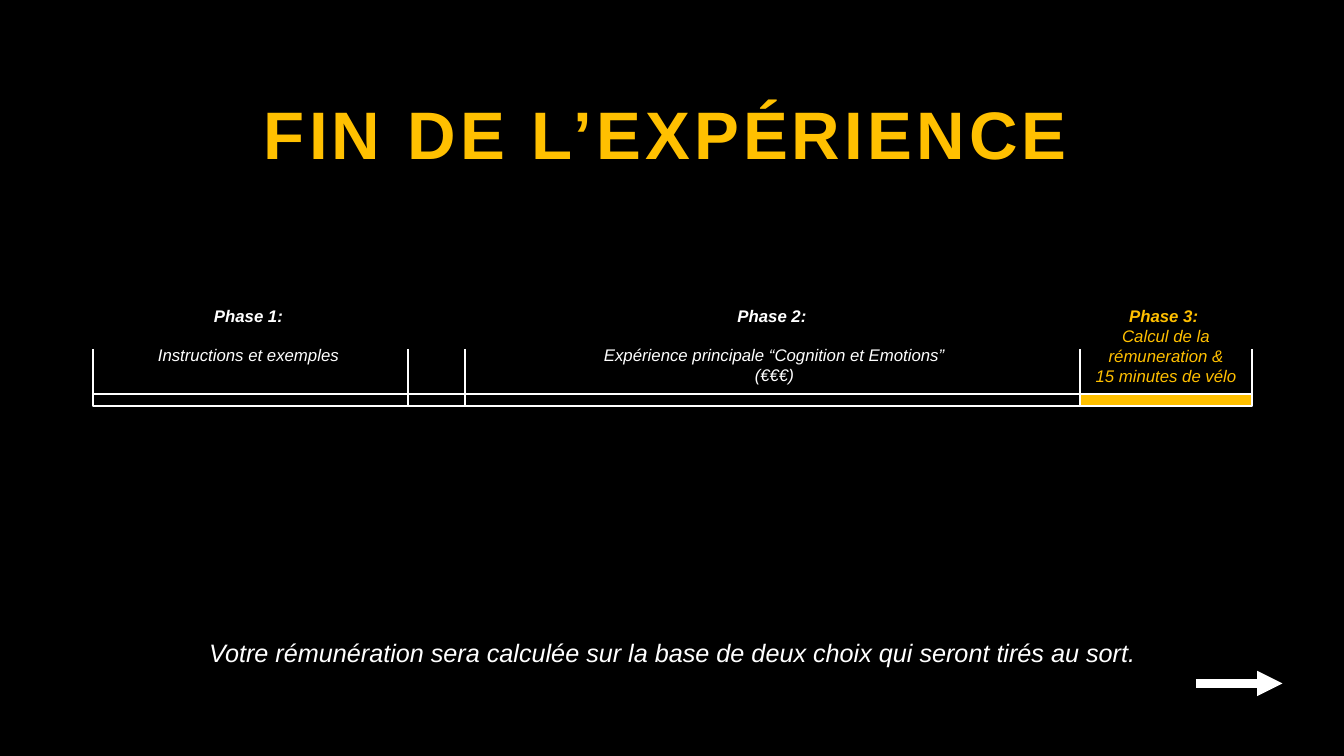
import pptx
import pptx.util
import pptx.dml.color
import pptx.enum.shapes
import pptx.enum.text
import pptx.oxml.ns
from lxml import etree

Inches, Pt = pptx.util.Inches, pptx.util.Pt
RGBColor = pptx.dml.color.RGBColor
PP_ALIGN = pptx.enum.text.PP_ALIGN

BLACK = RGBColor(0x00, 0x00, 0x00)
WHITE = RGBColor(0xFF, 0xFF, 0xFF)
GOLD = RGBColor(0xFF, 0xC0, 0x00)
FONT = "Arial"
LINE_GAP = Pt(13.8)


def add_text(s, box, paras, size, color, align=PP_ALIGN.CENTER, wrap=True):
    """Add a text box; paras lists (text, bold, italic, space after)."""
    tb = s.shapes.add_textbox(*(Inches(v) for v in box))
    tf = tb.text_frame
    tf.word_wrap = wrap
    tf.auto_size = pptx.enum.text.MSO_AUTO_SIZE.SHAPE_TO_FIT_TEXT
    for i, (text, bold, italic, after) in enumerate(paras):
        p = tf.paragraphs[0] if i == 0 else tf.add_paragraph()
        p.alignment = align
        p.space_after = after
        r = p.add_run()
        r.text = text
        r.font.name, r.font.size = FONT, Pt(size)
        r.font.bold, r.font.italic = bold, italic
        r.font.color.rgb = color
    return tb


def add_line(s, x1, y1, x2, y2, width):
    """Add a white straight line without shadow."""
    line = s.shapes.add_connector(
        pptx.enum.shapes.MSO_CONNECTOR.STRAIGHT,
        Inches(x1), Inches(y1), Inches(x2), Inches(y2))
    line.line.color.rgb = WHITE
    line.line.width = Pt(width)
    etree.SubElement(line._element.spPr, pptx.oxml.ns.qn("a:effectLst"))
    return line


def add_bar(s, box, fill=None, outline=None):
    """Add a rectangle with an optional fill and outline."""
    sp = s.shapes.add_shape(pptx.enum.shapes.MSO_SHAPE.RECTANGLE,
                            *(Inches(v) for v in box))
    sp.shadow.inherit = False
    if fill is None:
        sp.fill.background()
    else:
        sp.fill.solid()
        sp.fill.fore_color.rgb = fill
    if outline is None:
        sp.line.fill.background()
    else:
        sp.line.color.rgb = outline
        sp.line.width = Pt(1.5)


def add_title(s, box):
    """Add the letter-spaced gold title."""
    tb = add_text(s, box, [("FIN DE L’EXPÉRIENCE", True, False, Pt(0))],
                  48, GOLD, PP_ALIGN.LEFT, wrap=False)
    tb.text_frame.paragraphs[0].runs[0].font._element.set("spc", "300")


def add_timeline(s, box):
    """Add the phase bar, its dividers and the phase labels."""
    x, y, w, h = box
    bar_h, tick_h = 0.12, 0.57
    bar_y, tick_y = y + h - bar_h, y + h - tick_h
    phase3_x, phase3_w = x + 9.79, w - 9.79
    add_bar(s, (phase3_x, bar_y, phase3_w, bar_h), fill=GOLD)
    add_bar(s, (x, bar_y, w, bar_h), outline=WHITE)
    for dx in (0, 3.13, 3.69, 9.79, w):
        add_line(s, x + dx, tick_y, x + dx, y + h, 1.5)

    phases = [
        (x + 0.13, 2.83, 0.71, WHITE, LINE_GAP, "Phase 1:",
         ["Instructions et exemples"]),
        (x + 3.2, 7.12, 0.91, WHITE, LINE_GAP, "Phase 2: ",
         ["Expérience principale “Cognition et Emotions”", "(€€€)"]),
        (phase3_x, phase3_w, 0.91, GOLD, Pt(0), "Phase 3: ",
         ["Calcul de la rémuneration &", "15 minutes de vélo"]),
    ]
    for left, width, height, color, gap, name, details in phases:
        paras = [(name, True, True, gap)]
        paras += [(text, False, True, Pt(0)) for text in details]
        add_text(s, (left, y, width, height), paras, 12, color)


def add_footer(s, box):
    """Add the payment note and the arrow to the next step."""
    x, y, w, h = box
    note = ("Votre rémunération sera calculée sur la base de deux choix "
            "qui seront tirés au sort.")
    add_text(s, (x, y, w, h), [(note, False, True, Pt(0))], 18, WHITE)
    arrow_x, arrow_y = x + w - 0.04, y + 0.51
    arrow = add_line(s, arrow_x, arrow_y, arrow_x + 0.86, arrow_y, 6)
    ln = arrow.line._get_or_add_ln()
    etree.SubElement(ln, pptx.oxml.ns.qn("a:tailEnd"), type="triangle")


def build_slide(prs):
    """Add the closing slide of the experiment."""
    s = prs.slides.add_slide(prs.slide_layouts[6])
    s.background.fill.solid()
    s.background.fill.fore_color.rgb = BLACK
    add_title(s, (2.52, 0.87, 8.3, 0.91))
    add_timeline(s, (0.92, 2.98, 11.5, 1.05))
    add_footer(s, (1.44, 6.27, 10.46, 0.4))


prs = pptx.Presentation()
prs.slide_width, prs.slide_height = Inches(13.33), Inches(7.5)
build_slide(prs)
prs.save("out.pptx")
